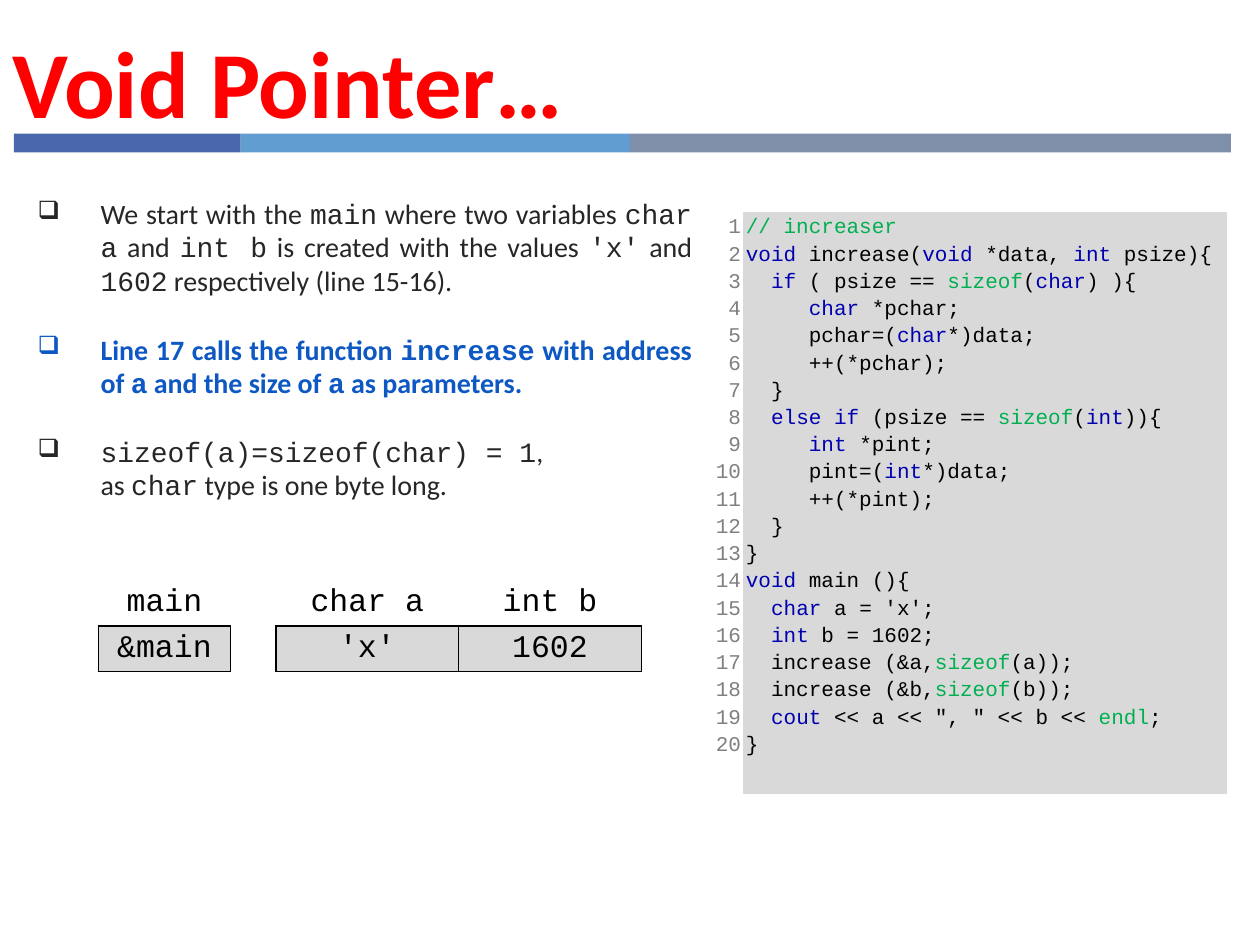
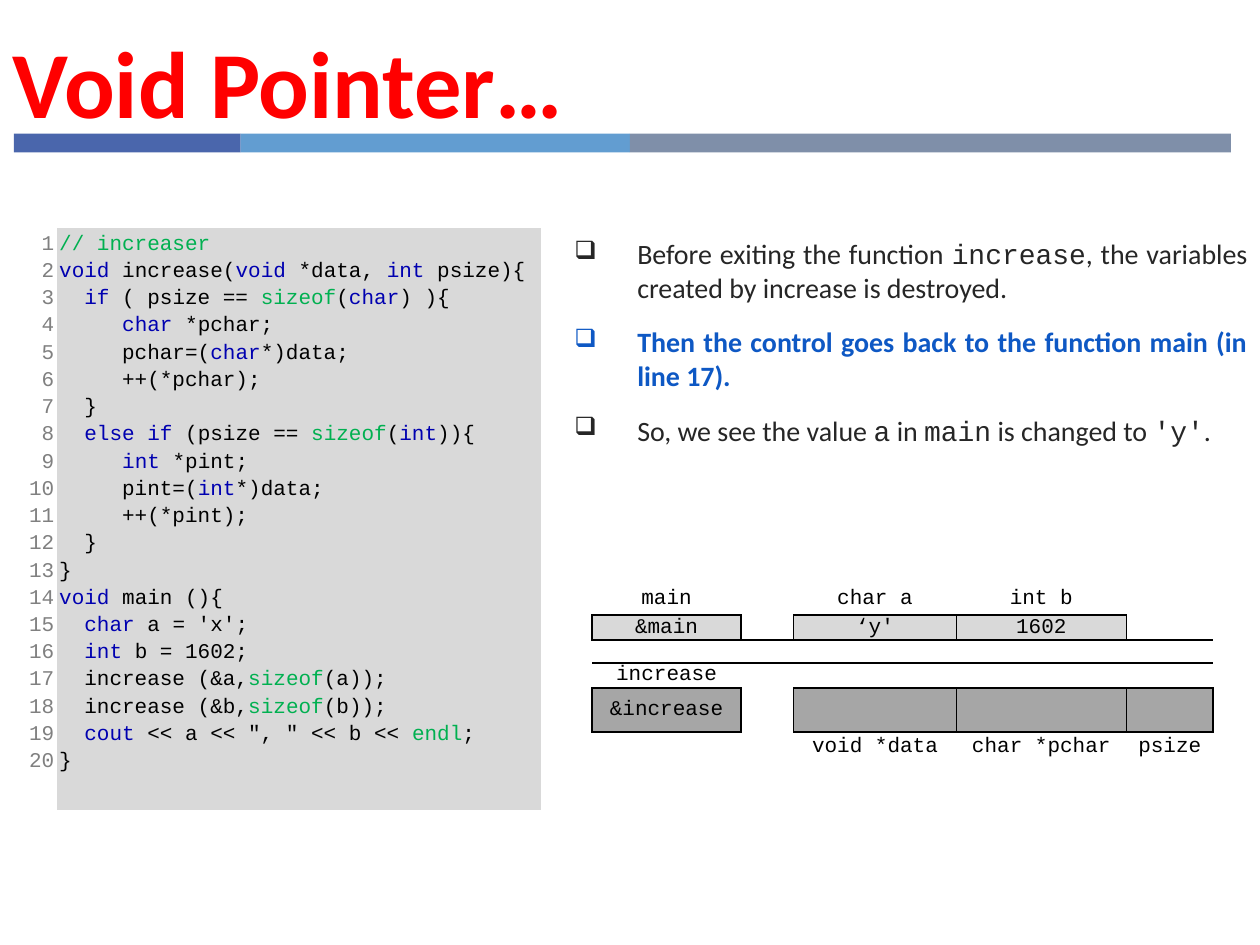
from itertools import groupby

from lxml import etree
from pptx import Presentation
from pptx import util as u
from pptx.dml.color import RGBColor
from pptx.enum import shapes, text
from pptx.oxml.ns import qn

SANS, MONO = "Calibri", "Courier New"
BLACK, GRAY, DARK = "000000", "808080", "262626"
RED, ACCENT = "FF0000", "0E58C4"
KEYWORD, SPECIAL = "0000B0", "00B050"
LIGHT_FILL, MEDIUM_FILL = "D9D9D9", "A6A6A6"
BANDS = [(1.8, "4A66AC"), (3.09, "629DD1"), (4.77, "7F8FA9")]
NO_STYLE_NO_GRID = "{2D5ABB26-0587-4C30-8999-92F81FD0307C}"
TITLE = "Void Pointer…"
KEYWORDS = {"void", "int", "char", "if", "else", "cout"}
SPECIALS = {"sizeof", "endl"}
CODE = """// increaser
void increase(void *data, int psize){
  if ( psize == sizeof(char) ){
     char *pchar;
     pchar=(char*)data;
     ++(*pchar);
  }
  else if (psize == sizeof(int)){
     int *pint;
     pint=(int*)data;
     ++(*pint);
  }
}
void main (){
  char a = 'x';
  int b = 1602;
  increase (&a,sizeof(a));
  increase (&b,sizeof(b));
  cout << a << ", " << b << endl;
}""".split("\n")


def color(value):
    return RGBColor.from_string(value)


def write(paragraph, content, font=SANS, size=16, fill=DARK, bold=False):
    for number, line in enumerate(content.split("\n")):
        if number:
            paragraph.add_line_break()
        if line:
            run = paragraph.add_run()
            run.text = line
            run.font.name, run.font.size, run.font.bold = font, u.Pt(size), bold
            run.font.color.rgb = color(fill)


def add_title(slide, left, top, width, height):
    title = slide.shapes.title
    title.left, title.top = u.Inches(left), u.Inches(top)
    title.width, title.height = u.Inches(width), u.Inches(height)
    frame = title.text_frame
    frame.auto_size = text.MSO_AUTO_SIZE.NONE
    frame.vertical_anchor = text.MSO_ANCHOR.TOP
    frame.margin_top = u.Inches(0.08)
    paragraph = frame.paragraphs[0]
    paragraph.alignment = text.PP_ALIGN.LEFT
    write(paragraph, TITLE, size=54, fill=RED, bold=True)


def add_bands(slide, left, top, height):
    for width, fill in BANDS:
        band = slide.shapes.add_shape(
            shapes.MSO_SHAPE.RECTANGLE,
            u.Inches(left), u.Inches(top), u.Inches(width), u.Inches(height))
        band.shadow.inherit = False
        band.fill.solid()
        band.fill.fore_color.rgb = color(fill)
        band.line.fill.background()
        left += width


def add_bullet(paragraph):
    properties = paragraph._p.get_or_add_pPr()
    properties.set("marL", str(u.Inches(0.5)))
    properties.set("indent", str(-u.Inches(0.5)))
    etree.SubElement(properties, qn("a:buSzPct"), val="90000")
    etree.SubElement(properties, qn("a:buChar"), char="❑")


def add_points(slide, left, top, width, height, points, before=0, after=0):
    box = slide.shapes.add_textbox(
        u.Inches(left), u.Inches(top), u.Inches(width), u.Inches(height))
    frame = box.text_frame
    frame.word_wrap = True
    for number, (content, highlighted) in enumerate(points):
        paragraph = frame.add_paragraph() if number else frame.paragraphs[0]
        paragraph.alignment = (text.PP_ALIGN.LEFT if "\n" in content
                               else text.PP_ALIGN.JUSTIFY)
        paragraph.space_before, paragraph.space_after = u.Pt(before), u.Pt(after)
        add_bullet(paragraph)
        for part_number, part in enumerate(content.split("`")):
            write(paragraph, part, font=MONO if part_number % 2 else SANS,
                  fill=ACCENT if highlighted else DARK, bold=highlighted)


def add_plain_table(slide, left, top, widths, heights):
    frame = slide.shapes.add_table(
        len(heights), len(widths), u.Inches(left), u.Inches(top),
        u.Inches(sum(widths)), u.Inches(sum(heights)))
    table = frame.table
    table.first_row = table.horz_banding = False
    table._tbl.tblPr.find(qn("a:tableStyleId")).text = NO_STYLE_NO_GRID
    for column, width in zip(table.columns, widths):
        column.width = u.Inches(width)
    for row, height in zip(table.rows, heights):
        row.height = u.Inches(height)
    return table


def set_margins(cell, left, top, right, bottom):
    cell.margin_left, cell.margin_top = u.Inches(left), u.Inches(top)
    cell.margin_right, cell.margin_bottom = u.Inches(right), u.Inches(bottom)


def set_fill(cell, fill):
    cell.fill.solid()
    cell.fill.fore_color.rgb = color(fill)


def set_borders(cell, sides):
    properties = cell._tc.get_or_add_tcPr()
    for side in sides:
        line = etree.SubElement(properties, qn(f"a:ln{side}"), w=str(u.Pt(1)))
        solid = etree.SubElement(line, qn("a:solidFill"))
        etree.SubElement(solid, qn("a:srgbClr"), val=BLACK)


def write_code_line(paragraph, line):
    if line.startswith("//"):
        write(paragraph, line, font=MONO, size=12, fill=SPECIAL)
        return
    for _, letters in groupby(line, str.isalnum):
        word = "".join(letters)
        fill = (KEYWORD if word in KEYWORDS
                else SPECIAL if word in SPECIALS else BLACK)
        write(paragraph, word, font=MONO, size=12, fill=fill)


def add_code(slide, left, top):
    table = add_plain_table(slide, left, top, [0.31, 3.84], [4.62])
    numbers, listing = table.cell(0, 0), table.cell(0, 1)
    set_margins(numbers, 0.01, 0.01, 0.02, 0.01)
    set_margins(listing, 0.02, 0.01, 0.01, 0.01)
    set_fill(listing, LIGHT_FILL)
    paragraph = numbers.text_frame.paragraphs[0]
    paragraph.alignment = text.PP_ALIGN.RIGHT
    paragraph.line_spacing = 1.15
    write(paragraph, "\n".join(str(n + 1) for n in range(len(CODE))),
          font=MONO, size=12, fill=GRAY)
    frame = listing.text_frame
    for number, line in enumerate(CODE):
        paragraph = frame.add_paragraph() if number else frame.paragraphs[0]
        paragraph.line_spacing = 1.15
        write_code_line(paragraph, line)


def add_memory(slide, left, top, widths, rows, size, spans=(), ruled_row=None):
    table = add_plain_table(slide, left, top, widths, [row[0] for row in rows])
    for row_number, (_, fill, contents) in enumerate(rows):
        for first, last in spans:
            if contents[first] is not None:
                table.cell(row_number, first).merge(table.cell(row_number, last))
        for column_number, content in enumerate(contents):
            cell = table.cell(row_number, column_number)
            set_margins(cell, 0.07, 0, 0.07, 0)
            cell.vertical_anchor = text.MSO_ANCHOR.MIDDLE
            paragraph = cell.text_frame.paragraphs[0]
            paragraph.alignment = text.PP_ALIGN.CENTER
            if content:
                write(paragraph, content, font=MONO, size=size, fill=BLACK)
            else:
                etree.SubElement(paragraph._p, qn("a:endParaRPr"), sz="800")
            if row_number == ruled_row:
                set_borders(cell, "T")
            if fill and content is not None:
                set_borders(cell, "LRTB")
                set_fill(cell, fill)


def add_base_slide(presentation):
    slide = presentation.slides.add_slide(presentation.slide_layouts[5])
    add_bands(slide, 0.11, 1.06, 0.15)
    add_title(slide, 0, 0.11, 7.16, 1)
    return slide


def build_call_slide(presentation):
    slide = add_base_slide(presentation)
    add_points(slide, 0.2, 1.51, 5.39, 2.6, [
        ("We start with the `main` where two variables `char a` and `int b` is "
         "created with the values `'x'` and `1602` respectively (line 15-16).",
         False),
        ("Line 17 calls the function `increase` with address of `a` and the "
         "size of `a` as parameters.", True),
        ("`sizeof(a)=sizeof(char) = 1`,\nas `char` type is one byte long.", False),
    ], before=20)
    add_memory(slide, 0.78, 4.61, [1.05, 0.36, 1.45, 1.45], [
        (0.36, None, ["main", None, "char a", "int b"]),
        (0.36, LIGHT_FILL, ["&main", None, "'x'", "1602"]),
    ], size=18)
    add_code(slide, 5.59, 1.68)


def build_return_slide(presentation):
    slide = add_base_slide(presentation)
    add_points(slide, 4.46, 1.83, 5.54, 1.72, [
        ("Before exiting the function `increase`, the variables created by "
         "increase is destroyed.", False),
        ("Then the control goes back to the function main (in line 17).", True),
        ("So, we see the value `a` in `main` is changed to `'y'`.", False),
    ], after=12)
    add_code(slide, 0.14, 1.81)
    add_memory(slide, 4.7, 4.63, [1.18, 0.42, 0.4, 0.89, 0.39, 0.96, 0.69], [
        (0.25, None, ["main", None, "char a", None, "int b", None, None]),
        (0.19, LIGHT_FILL, ["&main", None, "‘y'", None, "1602", None, None]),
        (0.18, None, [None] * 7),
        (0.19, None, ["increase"] + [None] * 6),
        (0.35, MEDIUM_FILL, ["&increase", None, "", None, "", None, ""]),
        (0.23, None, [None, None, "void *data", None, "char *pchar", None, "psize"]),
    ], size=12, spans=[(2, 3), (4, 5)], ruled_row=2)


def main():
    presentation = Presentation()
    presentation.slide_width = u.Inches(10)
    presentation.slide_height = u.Inches(7.5)
    build_call_slide(presentation)
    build_return_slide(presentation)
    presentation.save("out.pptx")


if __name__ == "__main__":
    main()
